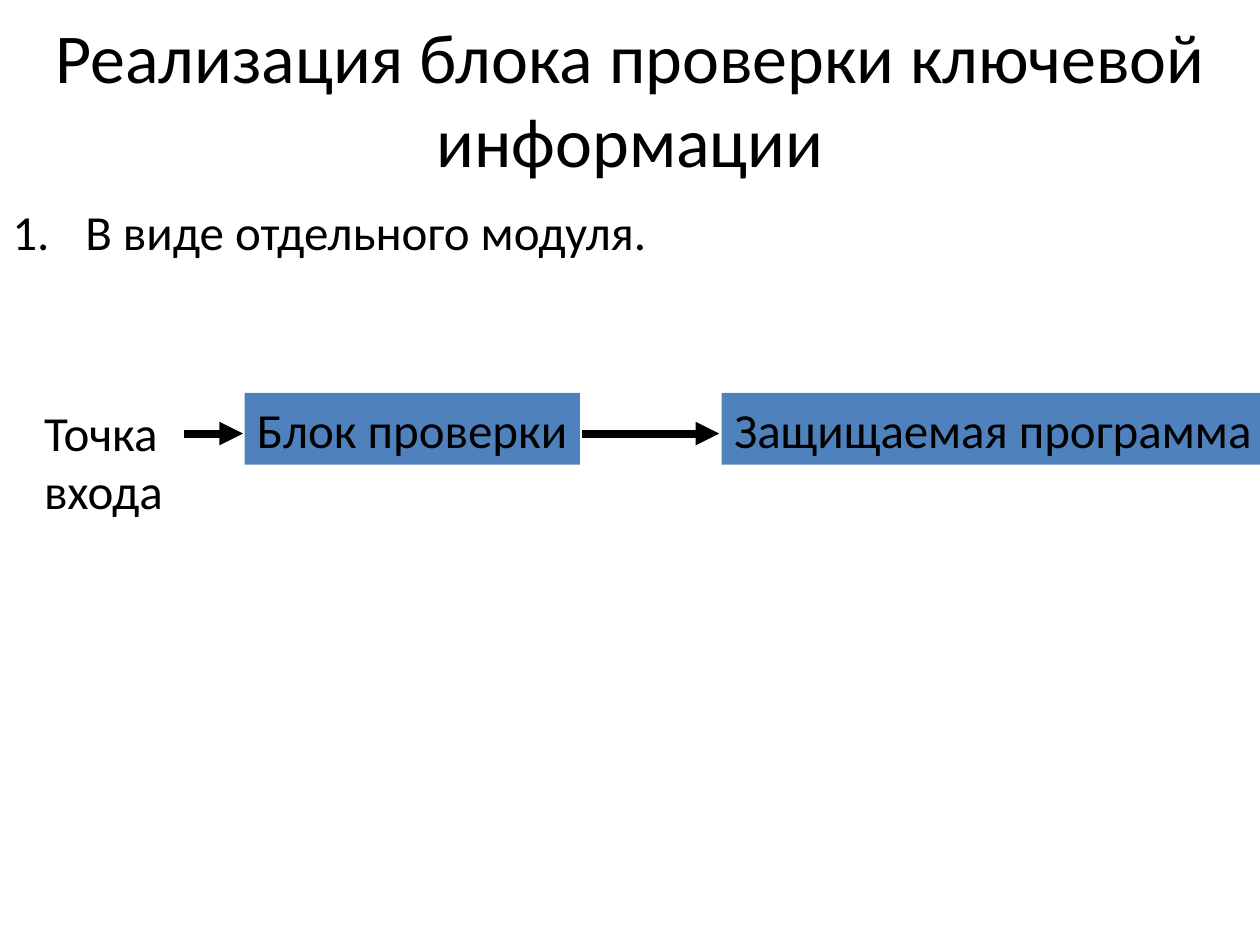
from dataclasses import dataclass
from typing import Optional

from pptx import Presentation
from pptx.dml.color import RGBColor
from pptx.enum.shapes import MSO_CONNECTOR as CONN, MSO_SHAPE as SHAPE
from pptx.enum.text import MSO_ANCHOR as ANCHOR, MSO_AUTO_SIZE as AUTO, PP_ALIGN as ALIGN
from pptx.oxml.ns import qn
from pptx.util import Cm, Pt
from lxml.etree import SubElement

BLACK, BLUE = "000000", "4F81BD"
ARROW_Y = 8.74


@dataclass
class Label:
    text: str
    x: float
    y: float
    w: float
    h: float
    fill: Optional[str] = None
    size: int = 28
    align: ALIGN = ALIGN.LEFT
    anchor: ANCHOR = ANCHOR.TOP
    wrap: bool = False


@dataclass
class Arrow:
    x1: float
    x2: float


TITLE = Label("Реализация блока проверки ключевой информации", 0, 0, 25.4, 3.94,
              size=40, align=ALIGN.CENTER, anchor=ANCHOR.MIDDLE, wrap=True)
ITEM = Label("В виде отдельного модуля.", 0, 3.94, 25.4, 2, wrap=True)
STAGES = [
    Label("Блок проверки", 4.93, 7.92, 6.76, 1.45, BLUE),
    Label("Защищаемая программа", 14.55, 7.92, 10.95, 1.45, BLUE),
    Label("Точка\vвхода", 0.64, 7.98, 2.95, 2.64),
]
ARROWS = [Arrow(11.73, 14.5), Arrow(3.71, 4.9)]


def rgb(color: str) -> RGBColor:
    return RGBColor.from_string(color)


def add_label(slide, label: Label):
    box = Cm(label.x), Cm(label.y), Cm(label.w), Cm(label.h)
    if label.fill:
        sp = slide.shapes.add_shape(SHAPE.RECTANGLE, *box)
        sp.shadow.inherit = False
        sp.fill.solid()
        sp.fill.fore_color.rgb = rgb(label.fill)
        sp.line.fill.background()
    else:
        sp = slide.shapes.add_textbox(*box)
    tf = sp.text_frame
    tf.text = label.text
    tf.word_wrap = label.wrap
    tf.auto_size = AUTO.NONE if label.wrap else AUTO.SHAPE_TO_FIT_TEXT
    tf.vertical_anchor = label.anchor
    p = tf.paragraphs[0]
    p.alignment = label.align
    for r in p.runs:
        r.font.name = "Calibri"
        r.font.size = Pt(label.size)
        r.font.color.rgb = rgb(BLACK)
    return sp


def number_paragraph(p, indent: float) -> None:
    p.space_before = Pt(7)
    pPr = p._p.get_or_add_pPr()
    pPr.set("marL", str(Cm(indent)))
    pPr.set("indent", str(-Cm(indent)))
    SubElement(pPr, qn("a:buFont"), typeface="Calibri")
    SubElement(pPr, qn("a:buAutoNum"), type="arabicPeriod")


def add_arrow(slide, arrow: Arrow) -> None:
    y = Cm(ARROW_Y)
    line = slide.shapes.add_connector(CONN.STRAIGHT, Cm(arrow.x1), y, Cm(arrow.x2), y)
    line.line.color.rgb = rgb(BLACK)
    line.line.width = Pt(4.5)
    SubElement(line.line._get_or_add_ln(), qn("a:tailEnd"), type="triangle")
    SubElement(line._element.spPr, qn("a:effectLst"))


def main() -> None:
    """Build the slide on the key check block."""
    prs = Presentation()
    prs.slide_width, prs.slide_height = Cm(25.4), Cm(19.05)
    s = prs.slides.add_slide(prs.slide_layouts[6])
    add_label(s, TITLE)
    item = add_label(s, ITEM)
    number_paragraph(item.text_frame.paragraphs[0], 1.47)
    for stage in STAGES:
        add_label(s, stage)
    for arrow in ARROWS:
        add_arrow(s, arrow)
    prs.save("out.pptx")


if __name__ == "__main__":
    main()
